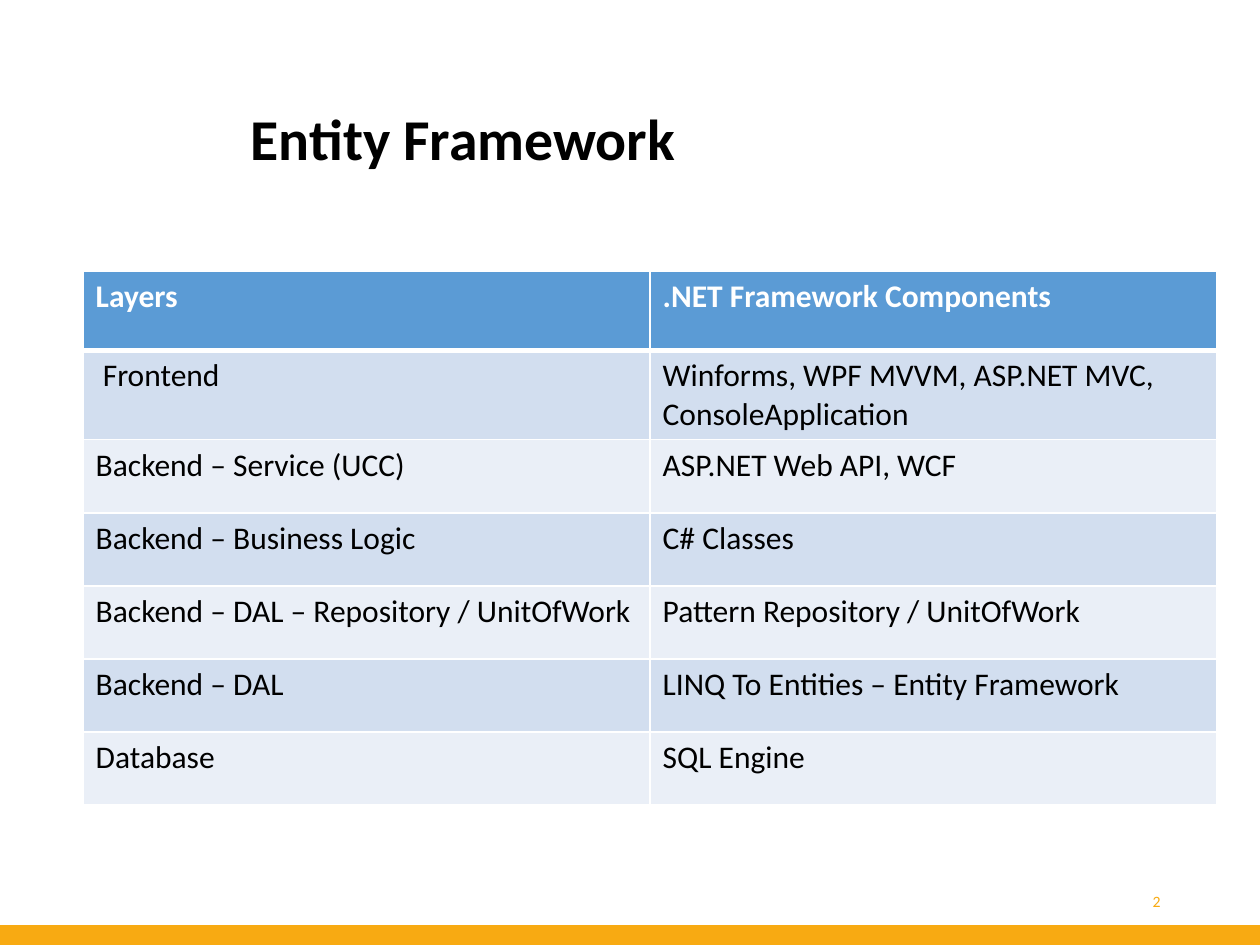
from lxml import etree
from pptx import Presentation
from pptx.dml.color import RGBColor
from pptx.enum import shapes, text
from pptx.oxml.ns import qn
from pptx.util import Inches, Pt

ROWS = [
    ("Layers", ".NET Framework Components"),
    (" Frontend", "Winforms, WPF MVVM, ASP.NET MVC, ConsoleApplication"),
    ("Backend – Service (UCC)", "ASP.NET Web API, WCF"),
    ("Backend – Business Logic", "C# Classes"),
    ("Backend – DAL – Repository / UnitOfWork", "Pattern Repository / UnitOfWork"),
    ("Backend – DAL", "LINQ To Entities – Entity Framework"),
    ("Database", "SQL Engine"),
]
HEIGHTS = [0.63, 0.71] + [0.58] * 5


def rgb(value):
    """Turn a hex string into a colour."""
    return RGBColor.from_string(value)


def add_text(tf, words, size, color, bold=False, align=text.PP_ALIGN.LEFT):
    """Write one formatted run in the first paragraph and return the paragraph."""
    p = tf.paragraphs[0]
    p.alignment = align
    r = p.add_run()
    r.text = words
    r.font.name = "Calibri"
    r.font.size = Pt(size)
    r.font.bold = bold
    r.font.color.rgb = rgb(color)
    return p


def add_border(cell, side, width, color="FFFFFF"):
    """Draw one side (L, R, T or B) of a table cell."""
    tcPr = cell._tc.get_or_add_tcPr()
    ln = etree.SubElement(tcPr, qn(f"a:ln{side}"), w=str(Pt(width)))
    fill = etree.SubElement(ln, qn("a:solidFill"))
    etree.SubElement(fill, qn("a:srgbClr"), val=color)


def add_title(s, x, y, w, h):
    """Place and fill the title placeholder."""
    sp = s.shapes.title
    sp.left, sp.top, sp.width, sp.height = map(Inches, (x, y, w, h))
    tf = sp.text_frame
    tf.vertical_anchor = text.MSO_ANCHOR.MIDDLE
    p = add_text(tf, "Entity Framework", 33, "000000", bold=True)
    p.line_spacing = 0.9


def add_layers_table(s, x, y, w):
    """Place the table of layers and their components."""
    box = map(Inches, (x, y, w, sum(HEIGHTS)))
    table = s.shapes.add_table(len(ROWS), 2, *box).table
    for i, (row, height) in enumerate(zip(ROWS, HEIGHTS)):
        table.rows[i].height = Inches(height)
        header = i == 0
        fill = "5B9BD5" if header else ("EAEFF7", "D2DEEF")[i % 2]
        for j, words in enumerate(row):
            cell = table.cell(i, j)
            widths = {"L": 1, "R": 1, "T": 3 if i == 1 else 1, "B": 3 if header else 1}
            for side, width in widths.items():
                add_border(cell, side, width)
            cell.fill.solid()
            cell.fill.fore_color.rgb = rgb(fill)
            add_text(cell.text_frame, words, 18, "FFFFFF" if header else "000000", header)


def add_footer(s, x, y, w, h):
    """Place the bottom band and the slide number above it."""
    sp = s.shapes.add_shape(shapes.MSO_SHAPE.RECTANGLE, *map(Inches, (x, y, w, h)))
    sp.shadow.inherit = False
    sp.fill.solid()
    sp.fill.fore_color.rgb = sp.line.color.rgb = rgb("F8AA12")
    sp.line.width = Pt(1)
    number = s.shapes.add_textbox(*map(Inches, (x + w - 2.94, y - 0.4, 2.25, 0.4)))
    tf = number.text_frame
    tf.word_wrap = True
    tf.vertical_anchor = text.MSO_ANCHOR.MIDDLE
    add_text(tf, "2", 9, "F8AA12", align=text.PP_ALIGN.RIGHT)


def main():
    """Build the slide and save it."""
    prs = Presentation()
    prs.slide_width, prs.slide_height = Inches(10), Inches(7.5)
    s = prs.slides.add_slide(prs.slide_layouts[5])
    add_footer(s, 0, 7.35, 10, 0.15)
    add_title(s, 1.89, 0.4, 7.42, 1.45)
    add_layers_table(s, 0.66, 2.15, 9)
    prs.save("out.pptx")


if __name__ == "__main__":
    main()
